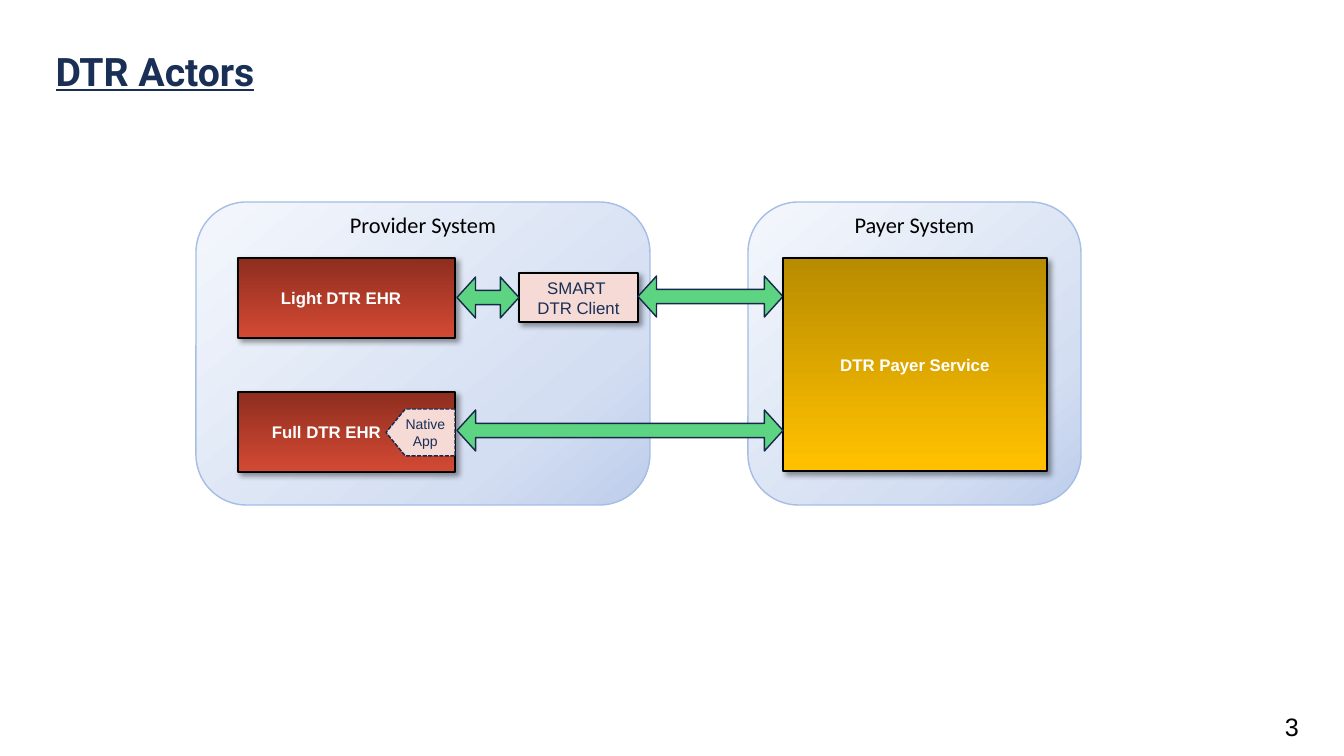
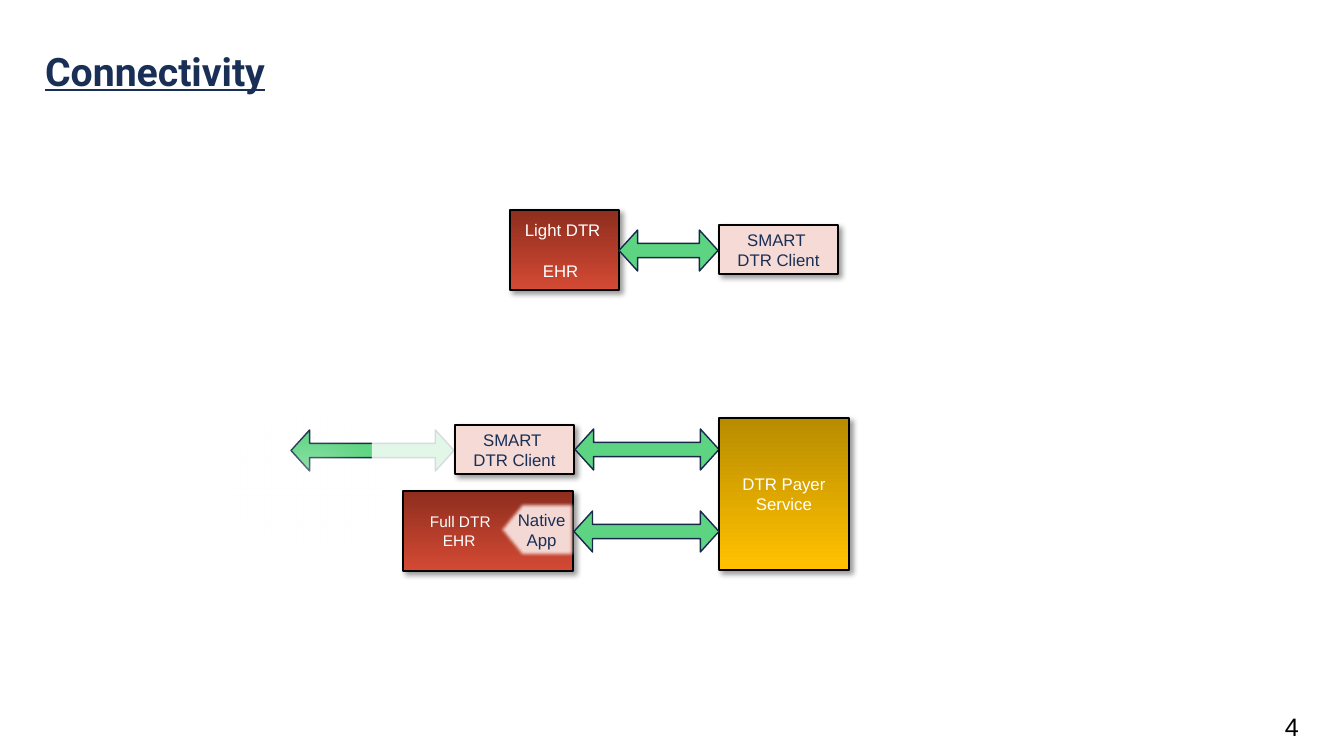
from lxml.etree import SubElement
from pptx import Presentation
from pptx.dml.color import RGBColor
from pptx.enum.dml import MSO_LINE
from pptx.enum.shapes import MSO_SHAPE
from pptx.enum.text import MSO_ANCHOR, PP_ALIGN
from pptx.oxml.ns import qn
from pptx.util import Pt

EMU_PER_PX = 914400 / 100.8
SLIDE_WIDTH, SLIDE_HEIGHT = 1344, 756

# Shared look
NAVY, OUTLINE, BLACK, WHITE = "192F56", "16294B", "000000", "FFFFFF"
PINK, GREEN = "F6DAD5", "5DD481"
ARROW_HEIGHT = 41
TITLE_BOX = (25, 42, 260, 57)
NUMBER_BOX = (1275, 706, 69, 40)
STYLES = {
    "system": dict(preset=MSO_SHAPE.ROUNDED_RECTANGLE, line="A6BDE5", angle=50,
                   gradient=[(0, "F4F7FC"), (74, "D3DEF2"), (100, "BDCDEB")]),
    "record": dict(gradient=[(0, "8E2D1E"), (100, "D44A34")], angle=90,
                   line=BLACK, shadow=True, align=PP_ALIGN.LEFT),
    "service": dict(gradient=[(0, "B88C00"), (97, "FFC000")], angle=90,
                    line=BLACK, shadow=True),
    "client": dict(fill=PINK, line=BLACK, shadow=True, color=NAVY),
    "native": dict(preset=MSO_SHAPE.PENTAGON, adjustments=[0.412], fill=PINK,
                   line=OUTLINE, dashed=True, flipped=True, color=NAVY, margin=5),
    "arrow": dict(preset=MSO_SHAPE.LEFT_RIGHT_ARROW, adjustments=[0.346, 0.454],
                  fill=GREEN, line=OUTLINE),
    "veil": dict(fill=WHITE),
}
CLIENT_LINES = ["SMART ", "DTR Client"]
CLIENT_SIZE = (119, 49)

# Content, back to front: style, box, text lines, options for that one shape
SLIDES = [
    dict(number=3, title="DTR Actors", shapes=[
        ("system", (196, 202, 454, 303), ["Provider System"], {}),
        ("record", (238, 258, 217, 80), ["Light DTR EHR"], dict(bold=True, indents=[33])),
        ("record", (238, 392, 217, 80), ["Full DTR EHR"], dict(bold=True, indents=[24])),
        ("system", (748, 202, 333, 303), ["Payer System"], {}),
        ("native", (386, 409, 69, 47), ["Native App"], dict(size=10)),
        ("client", (519, 273, *CLIENT_SIZE), CLIENT_LINES, {}),
        ("arrow", (638, 276, 145, ARROW_HEIGHT), [], {}),
        ("service", (783, 258, 264, 213), ["DTR Payer Service"], dict(bold=True)),
        ("arrow", (457, 410, 326, ARROW_HEIGHT), [], {}),
        ("arrow", (457, 277, 62, ARROW_HEIGHT), [], {}),
    ]),
    dict(number=4, title="Connectivity", shapes=[
        ("record", (510, 210, 109, 80), ["Light DTR", "EHR"], dict(indents=[5, 23], gap=15)),
        ("client", (719, 225, *CLIENT_SIZE), CLIENT_LINES, {}),
        ("arrow", (619, 230, 99, ARROW_HEIGHT), [], {}),
        ("arrow", (291, 430, 163, ARROW_HEIGHT), [], {}),
        ("veil", (372, 422, 82, 60), [], dict(opacity=83)),
        ("veil", (187, 377, 250, 212), [], dict(soft_edge=50)),
        ("record", (403, 491, 170, 80), ["Full DTR", "EHR"], dict(size=11, indents=[17, 30])),
        ("native", (497, 502, 78, 55), ["Native App"], dict(soft_edge=2.5)),
        ("client", (455, 425, *CLIENT_SIZE), CLIENT_LINES, {}),
        ("arrow", (575, 429, 144, ARROW_HEIGHT), [], {}),
        ("service", (719, 418, 130, 152), ["DTR Payer Service"], {}),
        ("arrow", (574, 511, 145, ARROW_HEIGHT), [], {}),
    ]),
]


def px(length):
    return round(length * EMU_PER_PX)


def rgb(value):
    return RGBColor.from_string(value)


def add_element(parent, tag, **attributes):
    return SubElement(parent, qn(tag), {name: str(value) for name, value in attributes.items()})


def write_lines(frame, lines, size, color, font="Arial", bold=False, underline=False,
                align=PP_ALIGN.CENTER, indents=(), gap=0):
    frame.word_wrap = True
    frame.text = "\n".join(lines)
    for index, paragraph in enumerate(frame.paragraphs):
        paragraph.alignment = align
        if index and gap:
            paragraph.space_before = Pt(gap)
        if indents:
            paragraph._p.get_or_add_pPr().set("marL", str(px(indents[index])))
        for run in paragraph.runs:
            run.font.name, run.font.size = font, Pt(size)
            run.font.bold, run.font.underline = bold, underline
            run.font.color.rgb = rgb(color)


def add_text(slide, box, text, size, color, **style):
    textbox = slide.shapes.add_textbox(*map(px, box))
    write_lines(textbox.text_frame, [text], size, color, **style)


def paint_gradient(shape, stops, angle):
    shape.fill.gradient()
    shape.fill.gradient_angle = 360 - angle
    stop_list = shape._element.spPr.find(qn("a:gradFill")).find(qn("a:gsLst"))
    for stop in list(stop_list):
        stop_list.remove(stop)
    for position, color in stops:
        stop = add_element(stop_list, "a:gs", pos=position * 1000)
        add_element(stop, "a:srgbClr", val=color)


def add_effects(shape, shadow=False, soft_edge=0):
    shape.shadow.inherit = False
    effects = shape._element.spPr.find(qn("a:effectLst"))
    if shadow:
        outer = add_element(effects, "a:outerShdw", blurRad=Pt(4), dist=Pt(3),
                            dir=45 * 60000, algn="tl", rotWithShape=0)
        color = add_element(outer, "a:srgbClr", val=BLACK)
        add_element(color, "a:alpha", val=40000)
    if soft_edge:
        add_element(effects, "a:softEdge", rad=Pt(soft_edge))


def add_block(slide, style_name, box, lines, options):
    style = {**STYLES[style_name], **options}
    shape = slide.shapes.add_shape(style.get("preset", MSO_SHAPE.RECTANGLE), *map(px, box))
    for index, value in enumerate(style.get("adjustments", [])):
        shape.adjustments[index] = value
    if style.get("flipped"):
        shape._element.spPr.find(qn("a:xfrm")).set("flipH", "1")

    # Fill, outline and effects
    if "gradient" in style:
        paint_gradient(shape, style["gradient"], style["angle"])
    else:
        shape.fill.solid()
        shape.fill.fore_color.rgb = rgb(style["fill"])
    if "opacity" in style:
        color = shape._element.spPr.find(qn("a:solidFill"))[0]
        add_element(color, "a:alpha", val=style["opacity"] * 1000)
    if "line" in style:
        shape.line.color.rgb = rgb(style["line"])
        shape.line.width = Pt(1)
        if style.get("dashed"):
            shape.line.dash_style = MSO_LINE.SQUARE_DOT
    else:
        shape.line.fill.background()
    add_effects(shape, style.get("shadow", False), style.get("soft_edge", 0))

    # Text
    if style_name == "system":
        left, top, width, _ = box
        add_text(slide, (left, top + 4, width, 37), lines[0], 16, BLACK, font="Calibri")
    elif lines:
        frame = shape.text_frame
        frame.vertical_anchor = MSO_ANCHOR.MIDDLE
        if "margin" in style:
            frame.margin_left = frame.margin_right = px(style["margin"])
        write_lines(frame, lines, style.get("size", 12), style.get("color", WHITE),
                    bold=style.get("bold", False), align=style.get("align", PP_ALIGN.CENTER),
                    indents=style.get("indents", ()), gap=style.get("gap", 0))


def main():
    presentation = Presentation()
    presentation.slide_width, presentation.slide_height = px(SLIDE_WIDTH), px(SLIDE_HEIGHT)
    for content in SLIDES:
        slide = presentation.slides.add_slide(presentation.slide_layouts[6])
        add_text(slide, NUMBER_BOX, str(content["number"]), 18, BLACK, align=PP_ALIGN.LEFT)
        add_text(slide, TITLE_BOX, content["title"], 28, NAVY,
                 font="Roboto", bold=True, underline=True)
        for block in content["shapes"]:
            add_block(slide, *block)
    presentation.save("out.pptx")


if __name__ == "__main__":
    main()
